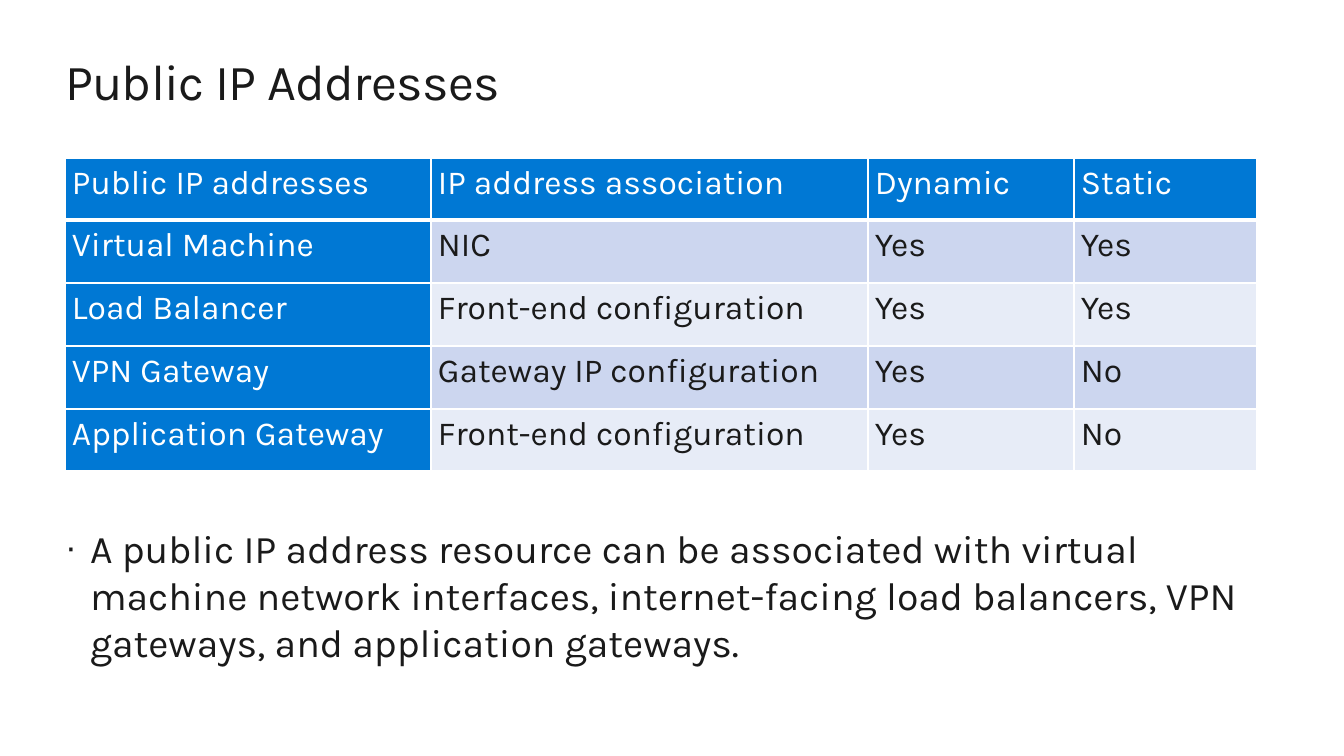
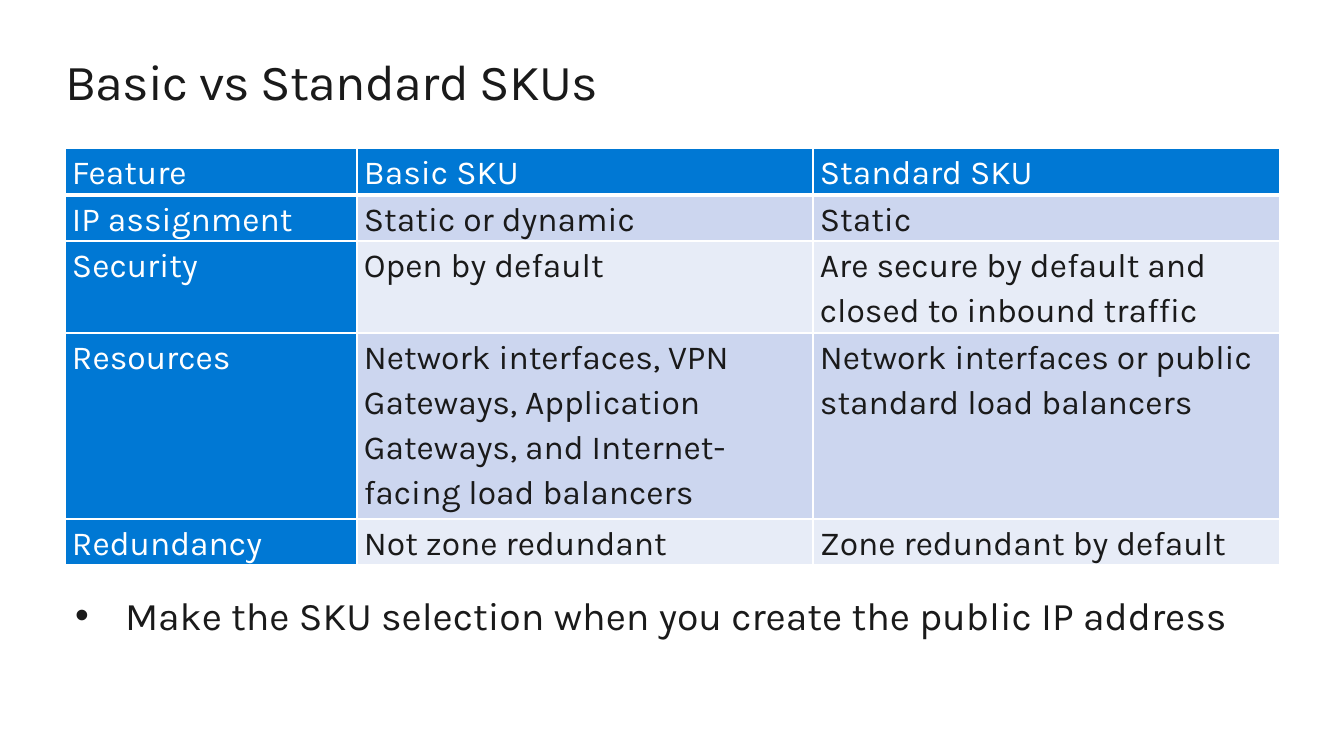
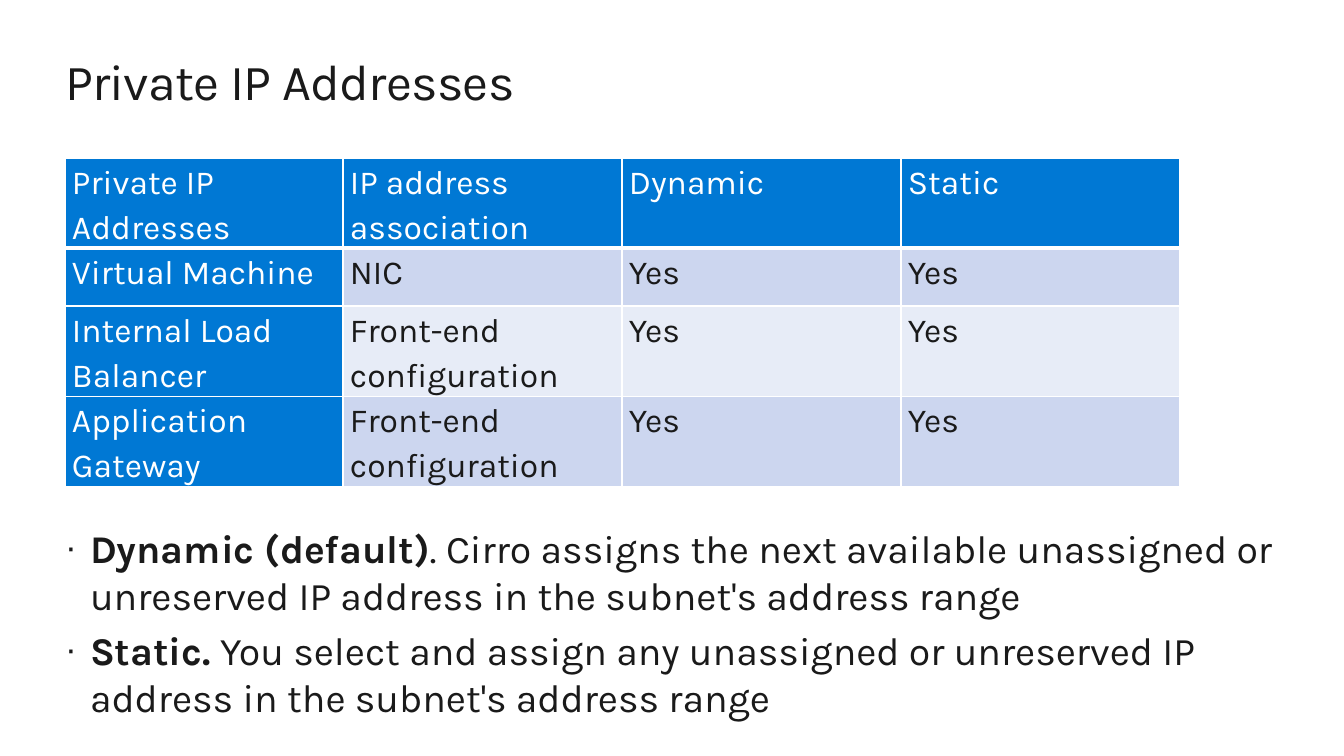
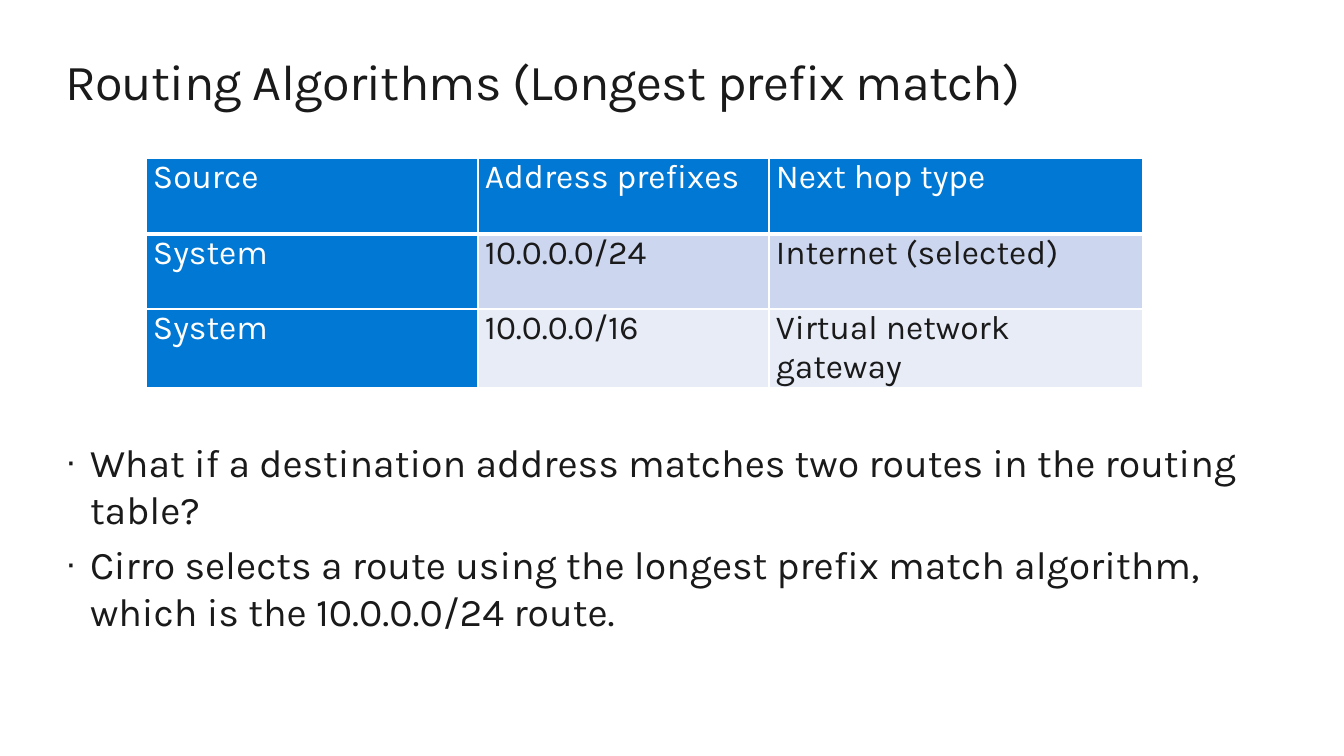
from lxml import etree
from pptx import Presentation
from pptx.dml.color import RGBColor
from pptx.enum.text import MSO_ANCHOR, MSO_AUTO_SIZE, PP_ALIGN
from pptx.oxml.ns import qn
from pptx.util import Emu, Pt

TOP = MSO_ANCHOR.TOP
NO_FIT = MSO_AUTO_SIZE.NONE
LEFT = PP_ALIGN.LEFT

PX = 914400 / 100.8
FONT = "Karla"
INK, WHITE, BLUE = "1A1A1A", "FFFFFF", "0078D4"
BANDS = ("CCD6EF", "E7ECF7")
TITLE_BOX = (65, 50, 1215, 61)
CONTENT_LAYOUT, TITLE_LAYOUT = 1, 5

TITLE_TEXT = {"size": Pt(36), "name": FONT, "bold": False}
BODY_TEXT = {"size": Pt(28), "name": FONT, "bold": False}
CELL_TEXT = {"size": Pt(24), "name": FONT, "bold": False}
DOT = {"char": "·", "indent": 25, "size": 90}
ROUND_BULLET = {"char": "•", "indent": 50, "size": 100}


def px(length):
    return Emu(round(length * PX))


def color(value):
    return RGBColor.from_string(value)


def apply(target, values):
    for name, value in values.items():
        setattr(target, name, value)


def place(shape, box):
    apply(shape, dict(zip(("left", "top", "width", "height"), map(px, box))))


def set_frame(frame, side=0, top=0):
    apply(frame, {
        "margin_left": px(side), "margin_right": px(side),
        "margin_top": px(top), "margin_bottom": px(top),
        "word_wrap": True, "auto_size": NO_FIT, "vertical_anchor": TOP,
    })


def add_span(para, text, style, ink=INK, **changes):
    span = para.add_run()
    span.text = text
    apply(span.font, {**style, **changes})
    span.font.color.rgb = color(ink)
    return span


def add_bullet(para, bullet):
    props = para._p.get_or_add_pPr()
    props.set("marL", str(px(bullet["indent"])))
    props.set("indent", str(-px(bullet["indent"])))
    size = etree.SubElement(props, qn("a:buSzPct"))
    size.set("val", str(bullet["size"] * 1000))
    etree.SubElement(props, qn("a:buFont")).set("typeface", "Arial")
    etree.SubElement(props, qn("a:buChar")).set("char", bullet["char"])


def add_page(deck, layout, title):
    page = deck.slides.add_slide(deck.slide_layouts[layout])
    place(page.shapes.title, TITLE_BOX)
    frame = page.shapes.title.text_frame
    set_frame(frame)
    para = frame.paragraphs[0]
    para.alignment = LEFT
    span = add_span(para, title, TITLE_TEXT)
    span.font._element.set("spc", "-50")
    return page


def fill_list(frame, items, bullet):
    """Each item is a pair: bold lead-in (may be empty) and plain text."""
    for index, (lead, text) in enumerate(items):
        para = frame.add_paragraph() if index else frame.paragraphs[0]
        add_bullet(para, bullet)
        apply(para, {"alignment": LEFT, "space_before": Pt(5.6 if index else 0)})
        if lead:
            add_span(para, lead, BODY_TEXT, bold=True)
        add_span(para, text, BODY_TEXT)


def add_body(page, box, items):
    body = page.placeholders[1]
    place(body, box)
    set_frame(body.text_frame)
    fill_list(body.text_frame, items, DOT)


def add_note(page, box, text):
    note = page.shapes.add_textbox(*map(px, box))
    set_frame(note.text_frame, side=10, top=5)
    fill_list(note.text_frame, [("", text)], ROUND_BULLET)


def set_borders(cell, widths):
    props = cell._tc.get_or_add_tcPr()
    for index, (side, width) in enumerate(widths.items()):
        line = etree.Element(qn("a:ln" + side), w=str(Pt(width)))
        fill = etree.SubElement(line, qn("a:solidFill"))
        etree.SubElement(fill, qn("a:srgbClr"), val=WHITE)
        props.insert(index, line)


def add_grid(page, corner, columns, heights, rows, spacing=1.15):
    size = (sum(columns), sum(heights))
    holder = page.shapes.add_table(len(rows), len(columns), *map(px, corner + size))
    table = holder.table
    table.horz_banding = False
    for column, width in zip(table.columns, columns):
        column.width = px(width)
    for row, height in zip(table.rows, heights):
        row.height = px(height)
    for r, texts in enumerate(rows):
        for c, text in enumerate(texts):
            cell = table.cell(r, c)
            heading = r == 0 or c == 0
            apply(cell, {
                "margin_left": px(7), "margin_right": px(7),
                "margin_top": 0, "margin_bottom": 0, "vertical_anchor": TOP,
            })
            cell.fill.solid()
            cell.fill.fore_color.rgb = color(BLUE if heading else BANDS[(r - 1) % 2])
            # A thick rule parts the header from the rows
            set_borders(cell, {"L": 1, "R": 1, "T": 3 if r == 1 else 1,
                               "B": 3 if r == 0 else 1})
            para = cell.text_frame.paragraphs[0]
            para.line_spacing = spacing
            add_span(para, text, CELL_TEXT, WHITE if heading else INK)


def build_public(deck):
    page = add_page(deck, CONTENT_LAYOUT, "Public IP Addresses")
    add_body(page, (65, 524, 1215, 200), [
        ("", "A public IP address resource can be associated with virtual machine "
             "network interfaces, internet-facing load balancers, VPN gateways, "
             "and application gateways."),
    ])
    add_grid(page, (65, 158), (366, 437, 206, 183), (62, 63, 63, 63, 62), [
        ("Public IP addresses", "IP address association", "Dynamic", "Static"),
        ("Virtual Machine", "NIC", "Yes", "Yes"),
        ("Load Balancer", "Front-end configuration", "Yes", "Yes"),
        ("VPN Gateway", "Gateway IP configuration", "Yes", "No"),
        ("Application Gateway", "Front-end configuration", "Yes", "No"),
    ])


def build_skus(deck):
    page = add_page(deck, TITLE_LAYOUT, "Basic vs Standard SKUs")
    add_note(page, (65, 586, 1176, 57),
             "Make the SKU selection when you create the public IP address")
    add_grid(page, (65, 148), (292, 456, 467), (47, 46, 92, 186, 46), [
        ("Feature", "Basic SKU", "Standard SKU"),
        ("IP assignment", "Static or dynamic", "Static"),
        ("Security", "Open by default",
         "Are secure by default and closed to inbound traffic"),
        ("Resources",
         "Network interfaces, VPN Gateways, Application Gateways, "
         "and Internet-facing load balancers",
         "Network interfaces or public standard load balancers"),
        ("Redundancy", "Not zone redundant", "Zone redundant by default"),
    ])


def build_private(deck):
    page = add_page(deck, CONTENT_LAYOUT, "Private IP Addresses")
    add_body(page, (65, 524, 1215, 200), [
        ("Dynamic (default)", ". Cirro assigns the next available unassigned or "
                              "unreserved IP address in the subnet's address range"),
        ("Static.", " You select and assign any unassigned or unreserved IP "
                    "address in the subnet's address range"),
    ])
    add_grid(page, (65, 158), (278, 279, 279, 279), (90, 58, 90, 90), [
        ("Private IP Addresses", "IP address association", "Dynamic", "Static"),
        ("Virtual Machine", "NIC", "Yes", "Yes"),
        ("Internal Load Balancer", "Front-end configuration", "Yes", "Yes"),
        ("Application Gateway", "Front-end configuration", "Yes", "Yes"),
    ])


def build_routing(deck):
    page = add_page(deck, CONTENT_LAYOUT, "Routing Algorithms (Longest prefix match)")
    add_grid(page, (146, 158), (332, 291, 374), (76, 75, 78), [
        ("Source", "Address prefixes", "Next hop type"),
        ("System", "10.0.0.0/24", "Internet (selected)"),
        ("System", "10.0.0.0/16", "Virtual network gateway"),
    ], spacing=1.0)
    add_body(page, (65, 438, 1215, 209), [
        ("", "What if a destination address matches two routes in the routing table?"),
        ("", "Cirro selects a route using the longest prefix match algorithm, "
             "which is the 10.0.0.0/24 route."),
    ])


def main():
    deck = Presentation()
    deck.slide_width, deck.slide_height = px(1344), px(756)
    for build in (build_public, build_skus, build_private, build_routing):
        build(deck)
    deck.save("out.pptx")


if __name__ == "__main__":
    main()
